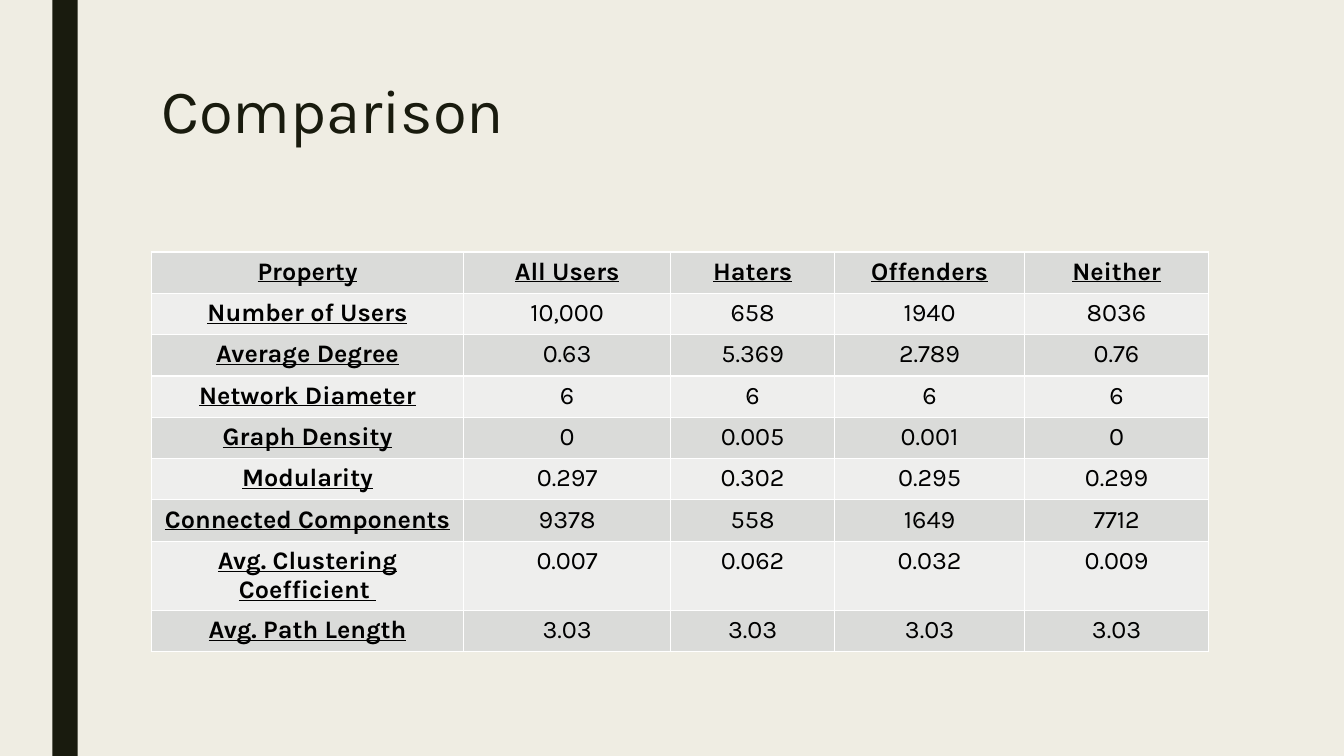
"""Build the network comparison slide."""
import pptx
import pptx.dml.color
import pptx.enum.shapes
import pptx.enum.text
import pptx.oxml
import pptx.oxml.ns
import pptx.util

Inches = pptx.util.Inches
Pt = pptx.util.Pt

COLUMN_WIDTHS = [3.1, 2.05, 1.63, 1.88, 1.83]
ROW_HEIGHTS = [0.41] * 7 + [0.68, 0.41]
PROPERTIES = [
    ["Property", "All Users", "Haters", "Offenders", "Neither"],
    ["Number of Users", "10,000", "658", "1940", "8036"],
    ["Average Degree", "0.63", "5.369", "2.789", "0.76"],
    ["Network Diameter", "6", "6", "6", "6"],
    ["Graph Density", "0", "0.005", "0.001", "0"],
    ["Modularity", "0.297", "0.302", "0.295", "0.299"],
    ["Connected Components", "9378", "558", "1649", "7712"],
    ["Avg. Clustering Coefficient ", "0.007", "0.062", "0.032", "0.009"],
    ["Avg. Path Length", "3.03", "3.03", "3.03", "3.03"],
]


def color(hex_code):
    return pptx.dml.color.RGBColor.from_string(hex_code)


class ComparisonSlide:
    font = "Karla"
    background = "EFEDE3"
    dark = "191B0E"
    ink = "000000"
    border = "FFFFFF"
    bands = ["DADBD9", "EEEEED"]

    def __init__(self, deck):
        self.slide = deck.slides.add_slide(deck.slide_layouts[5])
        self.paint(self.slide.background, self.background)

    def paint(self, target, hex_code):
        target.fill.solid()
        target.fill.fore_color.rgb = color(hex_code)

    def style(self, paragraph, size, hex_code, strong=False):
        for run in paragraph.runs:
            run.font.name = self.font
            run.font.size = Pt(size)
            run.font.color.rgb = color(hex_code)
            run.font.bold = strong
            run.font.underline = strong

    def bar(self, left, top, width, height):
        stripe = self.slide.shapes.add_shape(
            pptx.enum.shapes.MSO_SHAPE.RECTANGLE,
            Inches(left), Inches(top), Inches(width), Inches(height))
        stripe.shadow.inherit = False
        self.paint(stripe, self.dark)
        stripe.line.fill.background()

    def title(self, text, left, top, width, height):
        heading = self.slide.shapes.title
        heading.left, heading.top = Inches(left), Inches(top)
        heading.width, heading.height = Inches(width), Inches(height)
        frame = heading.text_frame
        frame.text = text
        frame.word_wrap = True
        frame.vertical_anchor = pptx.enum.text.MSO_ANCHOR.TOP
        paragraph = frame.paragraphs[0]
        paragraph.alignment = pptx.enum.text.PP_ALIGN.LEFT
        paragraph.line_spacing = 0.89
        self.style(paragraph, 44, self.dark)

    def outline(self, cell):
        properties = cell._tc.get_or_add_tcPr()
        for position, side in enumerate(["lnL", "lnR", "lnT", "lnB"]):
            edge = pptx.oxml.parse_xml(
                f'<a:{side} {pptx.oxml.ns.nsdecls("a")} w="{Pt(1)}"><a:solidFill>'
                f'<a:srgbClr val="{self.border}"/></a:solidFill></a:{side}>')
            properties.insert(position, edge)

    def table(self, rows, widths, heights, left, top):
        grid = self.slide.shapes.add_table(
            len(rows), len(widths), Inches(left), Inches(top),
            Inches(sum(widths)), Inches(sum(heights))).table
        for column, width in zip(grid.columns, widths):
            column.width = Inches(width)
        for r, (values, height) in enumerate(zip(rows, heights)):
            grid.rows[r].height = Inches(height)
            for c, value in enumerate(values):
                cell = grid.cell(r, c)
                cell.text_frame.text = value
                paragraph = cell.text_frame.paragraphs[0]
                paragraph.alignment = pptx.enum.text.PP_ALIGN.CENTER
                self.style(paragraph, 18, self.ink, strong=r == 0 or c == 0)
                self.paint(cell, self.bands[r % 2])
                self.outline(cell)


def main():
    deck = pptx.Presentation()
    deck.slide_width, deck.slide_height = Inches(13.33), Inches(7.5)
    comparison = ComparisonSlide(deck)
    comparison.bar(0.52, 0, 0.25, 7.5)
    comparison.title("Comparison", 1.5, 0.75, 10.5, 1.62)
    comparison.table(PROPERTIES, COLUMN_WIDTHS, ROW_HEIGHTS, 1.5, 2.5)
    deck.save("out.pptx")


if __name__ == "__main__":
    main()
